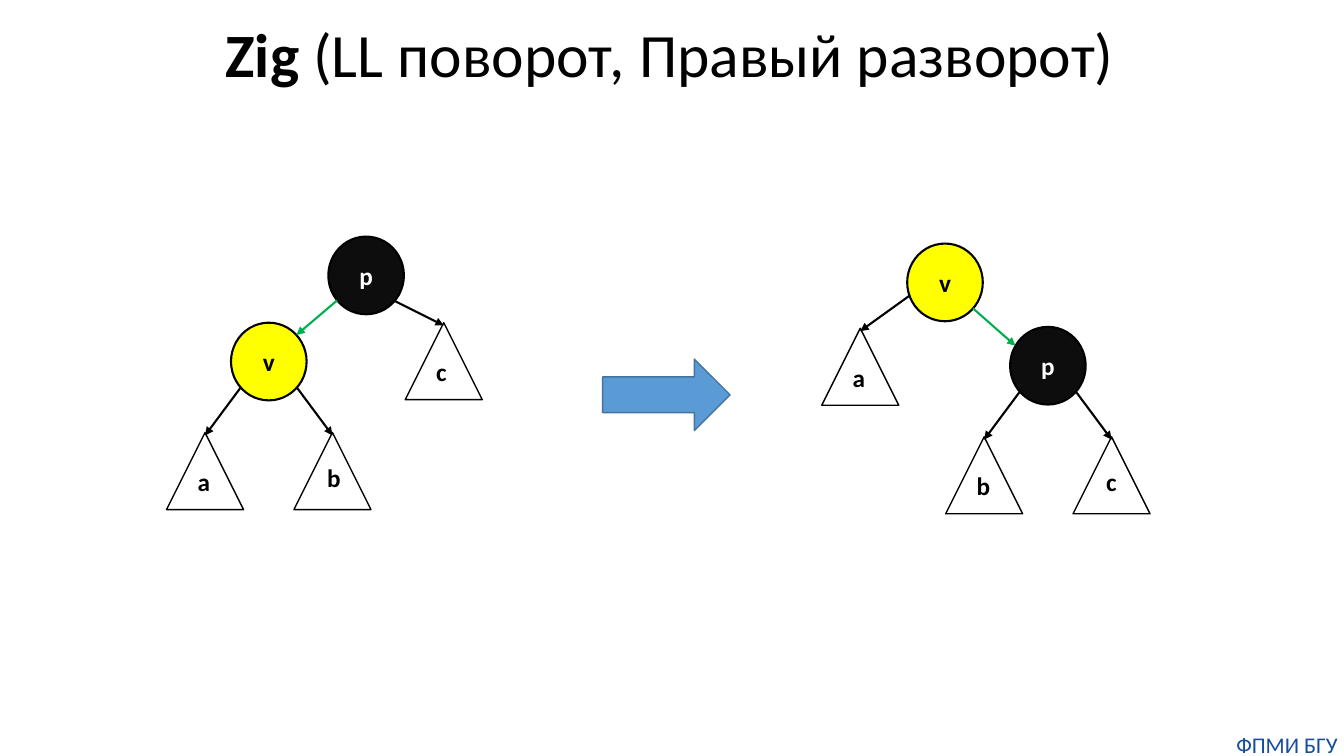
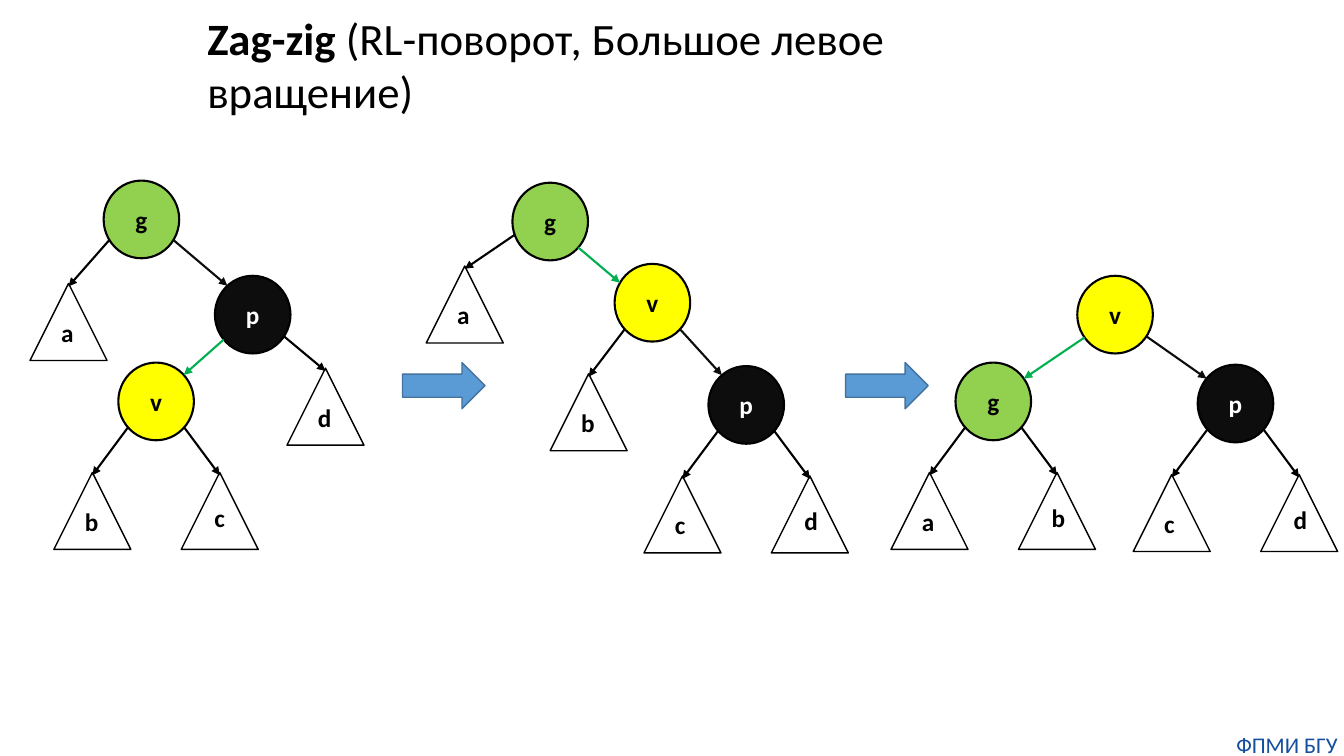
"""Build two slides on splay tree rotations: zig and zag-zig."""
import math
from dataclasses import dataclass

import lxml.etree
import pptx
import pptx.dml.color
import pptx.enum.shapes
import pptx.enum.text
import pptx.oxml.ns
import pptx.util

Pt = pptx.util.Pt
RGB = pptx.dml.color.RGBColor.from_string
SHAPE = pptx.enum.shapes.MSO_SHAPE
ALIGN = pptx.enum.text.PP_ALIGN
ANCHOR = pptx.enum.text.MSO_ANCHOR
qn = pptx.oxml.ns.qn


@dataclass(frozen=True)
class Theme:
    font: str = "Calibri"
    ink: str = "000000"
    node: str = "0D0D0D"
    white: str = "FFFFFF"
    yellow: str = "FFFF00"
    lime: str = "92D050"
    rotated: str = "00B050"
    arrow: str = "5B9BD5"
    arrow_line: str = "43739E"
    footer: str = "144E9D"
    label_size: float = 18
    footer_size: float = 16
    thick: float = 1.5
    thin: float = 1


theme = Theme()
NODE_STYLE = {
    "p": (theme.node, theme.white),
    "v": (theme.yellow, theme.ink),
    "g": (theme.lime, theme.ink),
}
NODE_W, NODE_H = 54, 55.5
LEAF = 55
LEAF_DROP = 78.5
PAIR_SHIFTS = (-46, 45)
LABEL_SHIFT, RAISED_SHIFT = (15, 20.5), (16.5, 17.5)

SLIDES = [
    {
        "title": ("Zig ", "(LL поворот, Правый разворот)"),
        "title_box": (154, -11, 651.5, 104.5),
        "title_size": 44,
        "spacing": 0.9,
        "arrows": [(430.5, 256.5, 91, 51)],
        "trees": [
            {
                "nodes": {"p": (234.5, 169), "v": (165, 230.5)},
                "leaves": {"c": (289.5, 230.5)},
                "pairs": {"v": "ab"},
                "turned": "pv",
                "edges": [("p", "v", 40, 43), ("p", "c", 41, 0)],
            },
            {
                "nodes": {"v": (648, 174), "p": (721.5, 233.5)},
                "leaves": {"a": (587, 234.5)},
                "pairs": {"p": "bc"},
                "turned": "vp",
                "edges": [("v", "p", 42, 31), ("v", "a", 20, 0)],
            },
        ],
    },
    {
        "title": ("Zag-zig", " (RL-поворот, Большое левое вращение)"),
        "title_box": (141, -6.5, 651, 104.5),
        "title_size": 32,
        "spacing": 1.0,
        "arrows": [(287.5, 259, 59, 33), (604, 259, 59, 33)],
        "trees": [
            {
                "nodes": {"g": (74, 129), "p": (153.5, 197), "v": (84.5, 259)},
                "leaves": {"a": (21.5, 202.5), "d": (205, 263)},
                "pairs": {"v": "bc"},
                "turned": "pv",
                "edges": [("g", "p", 32, 48), ("p", "v", 40, 43),
                          ("p", "d", 34, 0), ("g", "a", 32, 0)],
            },
            {
                "nodes": {"g": (366, 130.5), "v": (439, 188.5), "p": (506, 261.5)},
                "leaves": {"a": (304.5, 190), "b": (393, 267)},
                "pairs": {"p": "cd"},
                "turned": "gv",
                "edges": [("g", "v", 42, 31), ("v", "p", 43, 50),
                          ("v", "b", 43, 0), ("g", "a", 20, 0)],
            },
            {
                "nodes": {"v": (769.5, 197), "g": (682.5, 259), "p": (855.5, 260.5)},
                "leaves": {},
                "pairs": {"g": "ab", "p": "cd"},
                "turned": "vg",
                "edges": [("v", "g", 36, 36), ("v", "p", 34, 40)],
            },
        ],
    },
]


def add_text(sp, texts, size, color, bolds, align=ALIGN.LEFT, anchor=ANCHOR.TOP):
    """Write one paragraph of runs into a shape."""
    tf = sp.text_frame
    tf.word_wrap = True
    tf.vertical_anchor = anchor
    p = tf.paragraphs[0]
    p.alignment = align
    p.text = texts[0]
    for text in texts[1:]:
        p.add_run().text = text
    for r, bold in zip(p.runs, bolds):
        r.font.name = theme.font
        r.font.size = Pt(size)
        r.font.bold = bold
        r.font.color.rgb = RGB(color)
    return p


def rim(corner, angle, side, half):
    """Return a point on a node's outline; half is 1 below the centre, -1 above."""
    a = math.radians(angle)
    return (corner[0] + NODE_W / 2 * (1 + side * math.cos(a)),
            corner[1] + NODE_H / 2 * (1 + half * math.sin(a)))


prs = pptx.Presentation()
prs.slide_width, prs.slide_height = Pt(960), Pt(540)

for page in SLIDES:
    s = prs.slides.add_slide(prs.slide_layouts[6])

    sp = s.shapes.add_textbox(Pt(878.5), Pt(522), Pt(81.5), Pt(19.5))
    tf = sp.text_frame
    tf.margin_left = tf.margin_right = tf.margin_top = tf.margin_bottom = 0
    add_text(sp, ["ФПМИ БГУ"], theme.footer_size, theme.footer, [False], ALIGN.CENTER)

    sp = s.shapes.add_textbox(*map(Pt, page["title_box"]))
    p = add_text(sp, page["title"], page["title_size"], theme.ink, (True, False),
                 anchor=ANCHOR.MIDDLE)
    p.line_spacing = page["spacing"]

    for box in page["arrows"]:
        sp = s.shapes.add_shape(SHAPE.RIGHT_ARROW, *map(Pt, box))
        sp.shadow.inherit = False
        sp.fill.solid()
        sp.fill.fore_color.rgb = RGB(theme.arrow)
        sp.line.color.rgb = RGB(theme.arrow_line)
        sp.line.width = Pt(theme.thin)

    for tree in page["trees"]:
        nodes, leaves, edges = tree["nodes"], dict(tree["leaves"]), list(tree["edges"])
        raised = set()
        for parent, pair in tree["pairs"].items():
            x, y = nodes[parent]
            for name, shift in zip(pair, PAIR_SHIFTS):
                leaves[name] = (x + shift, y + LEAF_DROP)
                edges.append((parent, name, 42, 0))
            raised.add(pair[1])

        for name, (x, y) in nodes.items():
            fill, color = NODE_STYLE[name]
            sp = s.shapes.add_shape(SHAPE.OVAL, Pt(x), Pt(y), Pt(NODE_W), Pt(NODE_H))
            sp.shadow.inherit = False
            sp.fill.solid()
            sp.fill.fore_color.rgb = RGB(fill)
            sp.line.color.rgb = RGB(theme.ink)
            sp.line.width = Pt(theme.thick)
            add_text(sp, [name], theme.label_size, color, [True],
                     ALIGN.CENTER, ANCHOR.MIDDLE)

        for name, (x, y) in leaves.items():
            sp = s.shapes.add_shape(SHAPE.ISOSCELES_TRIANGLE,
                                    Pt(x), Pt(y), Pt(LEAF), Pt(LEAF))
            sp.shadow.inherit = False
            sp.fill.background()
            sp.line.color.rgb = RGB(theme.ink)
            sp.line.width = Pt(theme.thin)
            dx, dy = RAISED_SHIFT if name in raised else LABEL_SHIFT
            sp = s.shapes.add_textbox(Pt(x + dx), Pt(y + dy), Pt(24), Pt(29))
            add_text(sp, [name], theme.label_size, theme.ink, [True])

        for parent, child, leave, enter in edges:
            to_node = child in nodes
            corner = nodes[child] if to_node else leaves[child]
            side = 1 if corner[0] > nodes[parent][0] else -1
            start = rim(nodes[parent], leave, side, 1)
            if to_node:
                end = rim(corner, enter, -side, -1)
            else:
                end = (corner[0] + LEAF / 2, corner[1] + 2)
            color = theme.node if to_node else theme.ink
            if parent + child == tree["turned"]:
                color = theme.rotated
            c = s.shapes.add_connector(pptx.enum.shapes.MSO_CONNECTOR.STRAIGHT,
                                       *map(Pt, start + end))
            c.line.color.rgb = RGB(color)
            c.line.width = Pt(theme.thick)
            spPr = c._element.spPr
            lxml.etree.SubElement(spPr.find(qn("a:ln")), qn("a:tailEnd"), type="triangle")
            lxml.etree.SubElement(spPr, qn("a:effectLst"))

prs.save("out.pptx")
